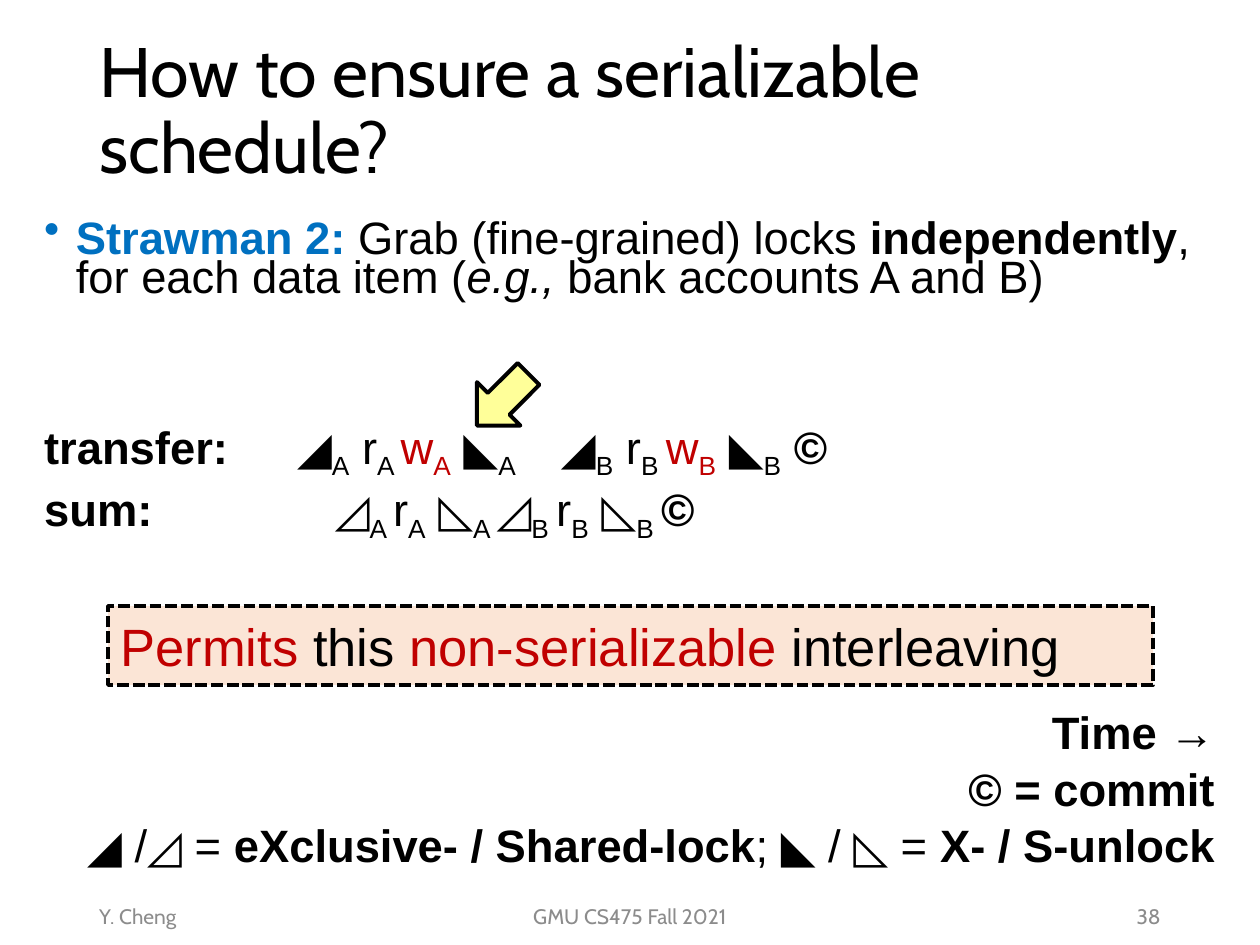
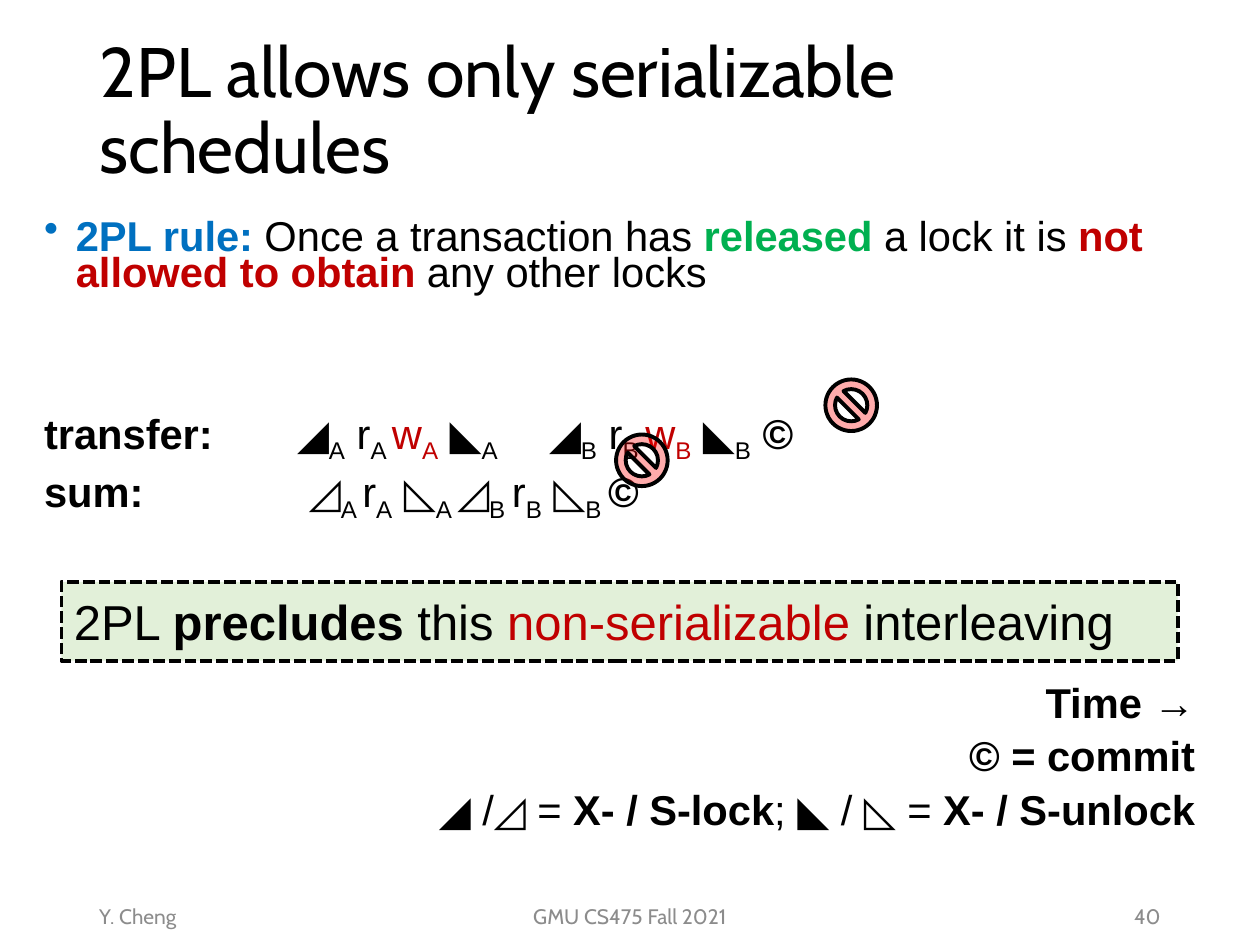
import pptx
import pptx.dml.color
import pptx.enum.dml
import pptx.enum.shapes
import pptx.enum.text
import pptx.oxml
import pptx.oxml.ns
import pptx.util

Cm = pptx.util.Cm
Pt = pptx.util.Pt
RGBColor = pptx.dml.color.RGBColor
ALIGN = pptx.enum.text.PP_ALIGN
ANCHOR = pptx.enum.text.MSO_ANCHOR
SHAPE = pptx.enum.shapes.MSO_SHAPE

# Colours
BLACK = RGBColor(0x00, 0x00, 0x00)
GREY = RGBColor(0x8C, 0x8C, 0x8C)
BLUE = RGBColor(0x00, 0x70, 0xC0)
RED = RGBColor(0xC0, 0x00, 0x00)
GREEN = RGBColor(0x00, 0xB0, 0x50)
PEACH = RGBColor(0xFB, 0xE5, 0xD6)
MINT = RGBColor(0xE2, 0xF0, 0xD9)
YELLOW = RGBColor(0xFF, 0xFF, 0x99)
SIGN_RED = RGBColor(0xFF, 0x00, 0x00)

# Fonts and body rhythm
HEADING_FONT = "Cabin"
BODY_FONT = "Arial"
LINE_SPACING = 0.72
SPACE_BEFORE = 10

# Run styles
PLAIN = {}
BOLD = {"bold": True}
ITALIC = {"italic": True}


def colored(color, bold=False):
    return {"color": color, "bold": bold}


def add_runs(paragraph, runs, size, name=BODY_FONT):
    """Add (text, style) pairs; a style may hold color, bold, italic and sub."""
    for text, style in runs:
        run = paragraph.add_run()
        run.text = text
        formats = {"name": name, "size": Pt(size), "bold": False, "italic": False}
        formats.update(style)
        color = formats.pop("color", BLACK)
        if formats.pop("sub", False):
            run.font._element.set("baseline", "-25000")
        for attribute, value in formats.items():
            setattr(run.font, attribute, value)
        run.font.color.rgb = color


def format_paragraph(paragraph, **formats):
    for attribute, value in formats.items():
        setattr(paragraph, attribute, value)


def add_property(paragraph, xml):
    namespace = pptx.oxml.ns.nsdecls("a")
    element = pptx.oxml.parse_xml(xml.replace("/>", f" {namespace}/>", 1)
                                  if xml.endswith("/>") and xml.count("<") == 1
                                  else xml.replace(">", f" {namespace}>", 1))
    paragraph._p.get_or_add_pPr().append(element)


def add_bullet(paragraph, indent):
    properties = paragraph._p.get_or_add_pPr()
    properties.set("marL", str(indent))
    properties.set("indent", str(-indent))
    add_property(paragraph, '<a:buChar char="•"/>')


def add_tabs(paragraph, stops):
    tabs = "".join(f'<a:tab pos="{Cm(stop)}" algn="l"/>' for stop in stops)
    add_property(paragraph, f"<a:tabLst>{tabs}</a:tabLst>")


def add_text_box(slide, left, top, width, height, anchor=ANCHOR.TOP):
    box = slide.shapes.add_textbox(Cm(left), Cm(top), Cm(width), Cm(height))
    box.text_frame.word_wrap = True
    box.text_frame.vertical_anchor = anchor
    return box.text_frame


def add_title(slide, text):
    title = slide.shapes.title
    frame = {"left": Cm(1.75), "top": Cm(0.43), "width": Cm(21.9), "height": Cm(3.68)}
    for attribute, value in frame.items():
        setattr(title, attribute, value)
    title.text_frame.word_wrap = True
    title.text_frame.auto_size = pptx.enum.text.MSO_AUTO_SIZE.NONE
    title.text_frame.vertical_anchor = ANCHOR.MIDDLE
    paragraph = title.text_frame.paragraphs[0]
    format_paragraph(paragraph, alignment=ALIGN.LEFT, line_spacing=0.9, space_before=Pt(0))
    add_runs(paragraph, [(text, PLAIN)], 40, HEADING_FONT)


def add_footer(slide, number):
    parts = [
        ("Y. Cheng", 1.75, 5.72, ALIGN.LEFT),
        ("GMU CS475 Fall 2021", 8.41, 8.58, ALIGN.CENTER),
        (number, 17.93, 5.72, ALIGN.RIGHT),
    ]
    for text, left, width, alignment in parts:
        frame = add_text_box(slide, left, 17.96, width, 1.02, ANCHOR.MIDDLE)
        frame.paragraphs[0].alignment = alignment
        add_runs(frame.paragraphs[0], [(text, colored(GREY))], 12, HEADING_FONT)


def schedule_runs(label, steps):
    """Bars switch between operations and subscripted items; writes are red."""
    runs = [(label, BOLD), ("\t", PLAIN)]
    pieces = steps.split("|")
    for index, piece in enumerate(pieces):
        is_item = index % 2 == 1
        operation = pieces[index - 1] if is_item else piece
        style = {"color": RED if operation == "w" else BLACK, "sub": is_item}
        runs.append((piece, style))
    return runs + [("©", BOLD)]


def add_body(slide, width, size, rule, transfer_stops, sum_stop, lock_name):
    frame = add_text_box(slide, 0.64, 4.37, width, 13.5)
    line_step = SPACE_BEFORE + LINE_SPACING * 1.15 * size
    transfer = "◢|A| r|A |w|A| ◣|A|\t◢|B| r|B |w|B| ◣|B| "
    summing = "◿|A |r|A| ◺|A |◿|B |r|B| ◺|B |"
    legend = [("◢ /◿ = ", PLAIN), (lock_name, BOLD),
              ("; ◣ / ◺ = ", PLAIN), ("X- / S-unlock", BOLD)]
    # Runs, alignment, lines skipped above, tab stops
    rows = [
        (rule, ALIGN.LEFT, 0, []),
        (schedule_runs("transfer:", transfer), ALIGN.LEFT, 2, transfer_stops),
        (schedule_runs("sum:", summing), ALIGN.LEFT, 0, [sum_stop]),
        ([("Time →", BOLD)], ALIGN.RIGHT, 3, []),
        ([("© = commit", BOLD)], ALIGN.RIGHT, 0, []),
        (legend, ALIGN.RIGHT, 0, []),
    ]
    for index, (runs, alignment, skipped, stops) in enumerate(rows):
        paragraph = frame.paragraphs[0] if index == 0 else frame.add_paragraph()
        format_paragraph(paragraph, alignment=alignment, line_spacing=LINE_SPACING,
                         space_before=Pt(round(SPACE_BEFORE + skipped * line_step, 1)))
        if index == 0:
            add_bullet(paragraph, Cm(0.64))
        if stops:
            add_tabs(paragraph, stops)
        add_runs(paragraph, runs, size)


def add_outlined_shape(slide, kind, left, top, width, height, fill):
    shape = slide.shapes.add_shape(kind, Cm(left), Cm(top), Cm(width), Cm(height))
    shape.shadow.inherit = False
    shape.fill.solid()
    shape.fill.fore_color.rgb = fill
    shape.line.color.rgb = BLACK
    shape.line.width = Pt(2.25)
    return shape


def add_verdict(slide, left, top, width, fill, runs, size):
    box = add_outlined_shape(slide, SHAPE.RECTANGLE, left, top, width, 1.59, fill)
    box.line.dash_style = pptx.enum.dml.MSO_LINE.SQUARE_DOT
    box.text_frame.word_wrap = True
    box.text_frame.vertical_anchor = ANCHOR.MIDDLE
    box.text_frame.paragraphs[0].alignment = ALIGN.LEFT
    add_runs(box.text_frame.paragraphs[0], runs, size)


def add_forbidden_sign(slide, left, top):
    sign = add_outlined_shape(slide, SHAPE.NO_SYMBOL, left, top, 1.04, 1.04, SIGN_RED)
    color = sign.fill._xPr.find(".//" + pptx.oxml.ns.qn("a:srgbClr"))
    namespace = pptx.oxml.ns.nsdecls("a")
    color.append(pptx.oxml.parse_xml(f'<a:alpha {namespace} val="33000"/>'))


def add_slide(presentation, title, number):
    slide = presentation.slides.add_slide(presentation.slide_layouts[5])
    add_title(slide, title)
    add_footer(slide, number)
    return slide


def build_strawman(presentation):
    slide = add_slide(presentation, "How to ensure a serializable schedule?", "38")
    rule = [
        ("Strawman 2: ", colored(BLUE, True)),
        ("Grab (fine-grained) locks ", PLAIN),
        ("independently", BOLD),
        (", for each data item (", PLAIN),
        ("e.g., ", ITALIC),
        ("bank accounts A and B)", PLAIN),
    ]
    add_body(slide, 24.1, 25.9, rule, [5.1, 10.42], 5.86, "eXclusive- / Shared-lock")
    verdict = [
        ("Permits ", colored(RED)),
        ("this ", PLAIN),
        ("non-serializable ", colored(RED)),
        ("interleaving", PLAIN),
    ]
    add_verdict(slide, 2.18, 12.22, 21.06, PEACH, verdict, 30)
    arrow = add_outlined_shape(slide, SHAPE.LEFT_ARROW, 9.4, 7.44, 1.47, 1.24, YELLOW)
    arrow.rotation = 315


def build_two_phase_locking(presentation):
    slide = add_slide(presentation, "2PL allows only serializable schedules", "40")
    rule = [
        ("2PL rule:", colored(BLUE, True)),
        (" Once a transaction has ", PLAIN),
        ("released ", colored(GREEN, True)),
        ("a lock it is ", PLAIN),
        ("not allowed to obtain ", colored(RED, True)),
        ("any other locks", PLAIN),
    ]
    add_body(slide, 23.7, 23.8, rule, [5.1, 10.18], 5.34, "X- / S-lock")
    verdict = [
        ("2PL ", PLAIN),
        ("precludes ", BOLD),
        ("this ", PLAIN),
        ("non-serializable ", colored(RED)),
        ("interleaving", PLAIN),
    ]
    add_verdict(slide, 1.24, 11.73, 22.5, MINT, verdict, 28)
    for left, top in [(16.64, 7.65), (12.42, 8.76)]:
        add_forbidden_sign(slide, left, top)


def main():
    presentation = pptx.Presentation()
    presentation.slide_width = Cm(25.4)
    presentation.slide_height = Cm(19.05)
    build_strawman(presentation)
    build_two_phase_locking(presentation)
    presentation.save("out.pptx")


if __name__ == "__main__":
    main()
